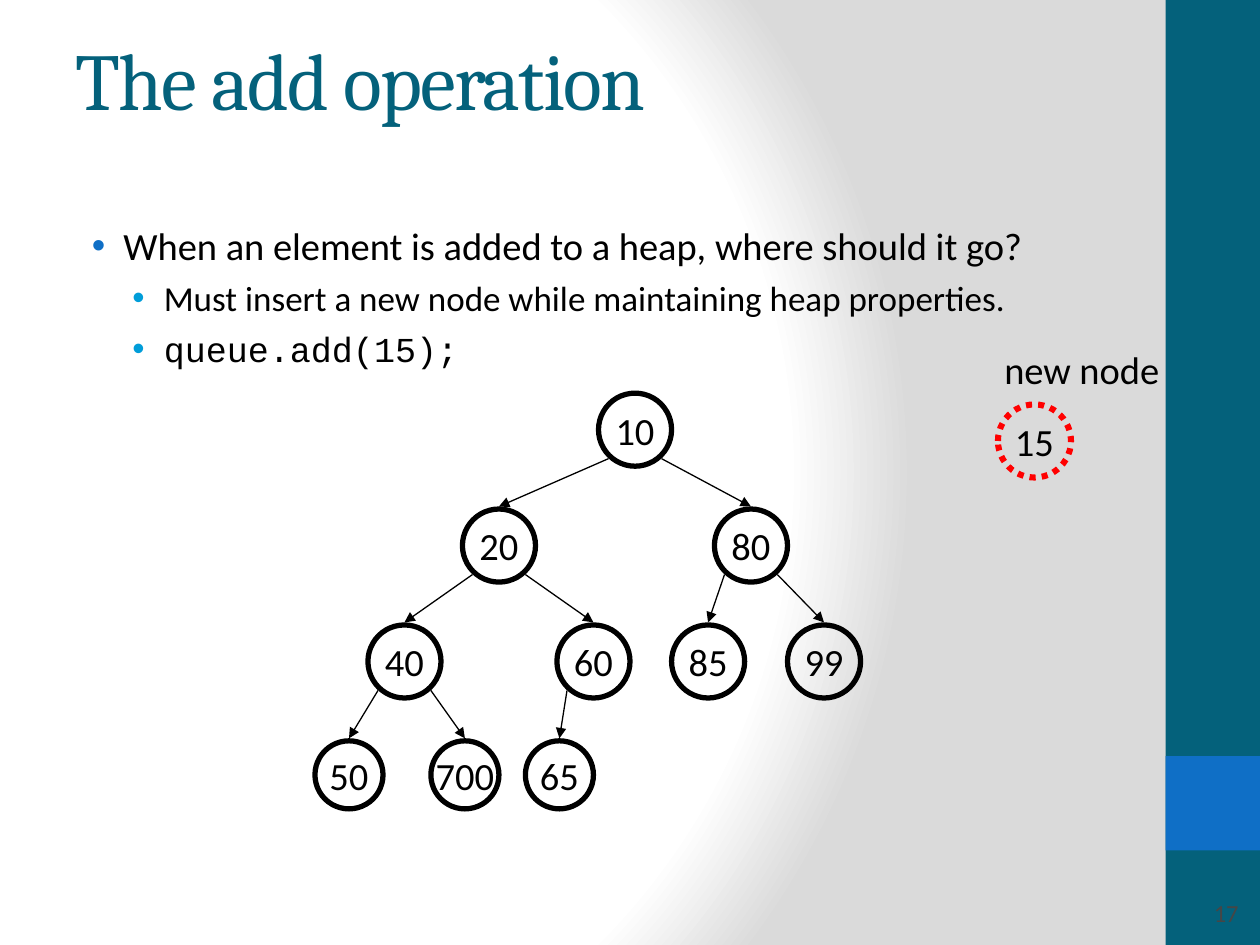
from dataclasses import dataclass

from lxml import etree
from pptx import Presentation
from pptx.dml.color import RGBColor
from pptx.enum.dml import MSO_LINE
from pptx.enum.shapes import MSO_CONNECTOR, MSO_SHAPE
from pptx.enum.text import MSO_ANCHOR, PP_ALIGN
from pptx.oxml import parse_xml
from pptx.oxml.ns import nsdecls, qn
from pptx.util import Inches, Pt

RECT, OVAL = MSO_SHAPE.RECTANGLE, MSO_SHAPE.OVAL
STRAIGHT = MSO_CONNECTOR.STRAIGHT
DOTTED = MSO_LINE.ROUND_DOT
LEFT, CENTER, RIGHT = PP_ALIGN.LEFT, PP_ALIGN.CENTER, PP_ALIGN.RIGHT
TOP, MIDDLE = MSO_ANCHOR.TOP, MSO_ANCHOR.MIDDLE


@dataclass(frozen=True)
class Theme:
    """Colours, fonts and type sizes of the slide."""
    teal: str = "04617B"
    blue: str = "0F6FC6"
    sky: str = "009DD9"
    ink: str = "000000"
    red: str = "FF0000"
    number: str = "464646"
    paper: str = "FFFFFF"
    shade: str = "DADADA"
    heading: str = "Cambria"
    text: str = "Calibri"
    code: str = "Courier New"
    title_size: int = 46
    size: int = 22
    sub_size: int = 20
    number_size: int = 14


T = Theme()
ROOT_TOP, LEVEL_STEP = 3.12, 0.92
HEAP_LEVELS = [
    (0.58, [("10", 4.75)]),
    (0.58, [("20", 3.67), ("80", 5.67)]),
    (0.58, [("40", 2.92), ("60", 4.42), ("85", 5.33), ("99", 6.25)]),
    (0.54, [("50", 2.5), ("700", 3.42), ("65", 4.17)]),
]
BULLETS = [
    ("When an element is added to a heap, where should it go?", 0, T.text),
    ("Must insert a new node while maintaining heap properties.", 1, T.text),
    ("queue.add(15);", 1, T.code),
]
BULLET_STYLES = [(0.38, T.size, T.blue), (0.7, T.sub_size, T.sky)]


def rgb(value):
    """Return a colour from its hex text."""
    return RGBColor.from_string(value)


def place(shape, left, top, width, height):
    """Move and size a shape in inches."""
    shape.left, shape.top = Inches(left), Inches(top)
    shape.width, shape.height = Inches(width), Inches(height)


def add_run(p, text, size=T.size, font=T.text, color=T.ink):
    """Add one formatted run to a paragraph."""
    r = p.add_run()
    r.text = text
    r.font.size, r.font.name = Pt(size), font
    r.font.color.rgb = rgb(color)
    return r


def set_background(s):
    """Fill the slide with a radial gradient."""
    stops = "".join(
        f'<a:gs pos="{pos * 1000}"><a:srgbClr val="{color}"/></a:gs>'
        for pos, color in [(0, T.paper), (84, T.paper), (100, T.shade)])
    s.element.cSld.insert(0, parse_xml(
        f'<p:bg {nsdecls("p", "a")}><p:bgPr><a:gradFill><a:gsLst>{stops}</a:gsLst>'
        '<a:path path="circle"><a:fillToRect l="20000" t="50000" r="100000" b="50000"/>'
        '</a:path></a:gradFill><a:effectLst/></p:bgPr></p:bg>'))


def add_band(s, top, height, color):
    """Add a solid block in the right-hand strip."""
    sp = s.shapes.add_shape(RECT, Inches(9.25), Inches(top), Inches(0.75), Inches(height))
    sp.shadow.inherit = False
    sp.fill.solid()
    sp.fill.fore_color.rgb = rgb(color)
    sp.line.fill.background()


def set_title(s, text):
    """Fill and format the title placeholder."""
    sp = s.shapes.title
    place(sp, 0.5, 0, 8.33, 1.25)
    sp.text_frame.vertical_anchor = MIDDLE
    p = sp.text_frame.paragraphs[0]
    p.alignment = LEFT
    r = add_run(p, text, T.title_size, T.heading, T.teal)
    r.font._element.set("spc", "-100")


def set_body(s, bullets):
    """Fill the body placeholder with a two-level list."""
    sp = s.placeholders[1]
    place(sp, 0.5, 1.33, 8.33, 5.67)
    tf = sp.text_frame
    tf.vertical_anchor = TOP
    tf.margin_top = Inches(0.43)
    for i, (text, level, font) in enumerate(bullets):
        p = tf.add_paragraph() if i else tf.paragraphs[0]
        indent, size, color = BULLET_STYLES[level]
        p.level, p.space_before = level, Pt(5)
        pPr = p._p.get_or_add_pPr()
        pPr.set("marL", str(Inches(indent)))
        pPr.set("indent", str(Inches(-0.25)))
        bullet_color = etree.SubElement(pPr, qn("a:buClr"))
        etree.SubElement(bullet_color, qn("a:srgbClr"), val=color)
        etree.SubElement(pPr, qn("a:buFont"), typeface="Arial")
        etree.SubElement(pPr, qn("a:buChar"), char="•")
        add_run(p, text, size, font)


def add_node(s, text, left, top, size, color=T.ink, width=3, dash=None):
    """Add a circled value."""
    sp = s.shapes.add_shape(OVAL, Inches(left), Inches(top), Inches(size), Inches(size))
    sp.shadow.inherit = False
    sp.fill.background()
    sp.line.color.rgb, sp.line.width = rgb(color), Pt(width)
    if dash:
        sp.line.dash_style = dash
    tf = sp.text_frame
    tf.word_wrap, tf.vertical_anchor = False, MIDDLE
    p = tf.paragraphs[0]
    p.alignment = CENTER
    add_run(p, text)


def add_arrow(s, x1, y1, x2, y2):
    """Add a thin arrow between two points."""
    line = s.shapes.add_connector(STRAIGHT, Inches(x1), Inches(y1), Inches(x2), Inches(y2))
    line.line.color.rgb, line.line.width = rgb(T.ink), Pt(0.75)
    etree.SubElement(line.line._get_or_add_ln(), qn("a:tailEnd"), type="triangle")
    etree.SubElement(line._element.spPr, qn("a:effectLst"))


def add_heap(s):
    """Draw the tree, linking each node to its parent."""
    parents = []
    for level, (size, nodes) in enumerate(HEAP_LEVELS):
        top = ROOT_TOP + level * LEVEL_STEP
        centers = [left + size / 2 for _, left in nodes]
        for i, (text, left) in enumerate(nodes):
            add_node(s, text, left, top, size)
            if parents:
                side = 0.21 if i % 2 else -0.21
                add_arrow(s, parents[i // 2] + side, top - LEVEL_STEP + 0.52,
                          centers[i], top - 0.02)
        parents = centers


def add_label(s, text, box, size=T.size, color=T.ink):
    """Add a right-aligned line of text."""
    sp = s.shapes.add_textbox(*map(Inches, box))
    sp.text_frame.word_wrap = False
    p = sp.text_frame.paragraphs[0]
    p.alignment = RIGHT
    add_run(p, text, size, color=color)


def main():
    """Build and save the slide."""
    prs = Presentation()
    prs.slide_width, prs.slide_height = Inches(10), Inches(7.5)
    s = prs.slides.add_slide(prs.slide_layouts[1])
    set_background(s)
    add_band(s, 0, 7.5, T.teal)
    add_band(s, 6, 0.75, T.blue)
    set_title(s, "The add operation")
    set_body(s, BULLETS)
    add_heap(s)
    add_node(s, "15", 7.92, 3.21, 0.58, T.red, 3.5, DOTTED)
    add_label(s, "new node", (7.86, 2.7, 1.44, 0.47))
    add_label(s, "17", (9.33, 7.08, 0.6, 0.34), T.number_size, T.number)
    prs.save("out.pptx")


main()
